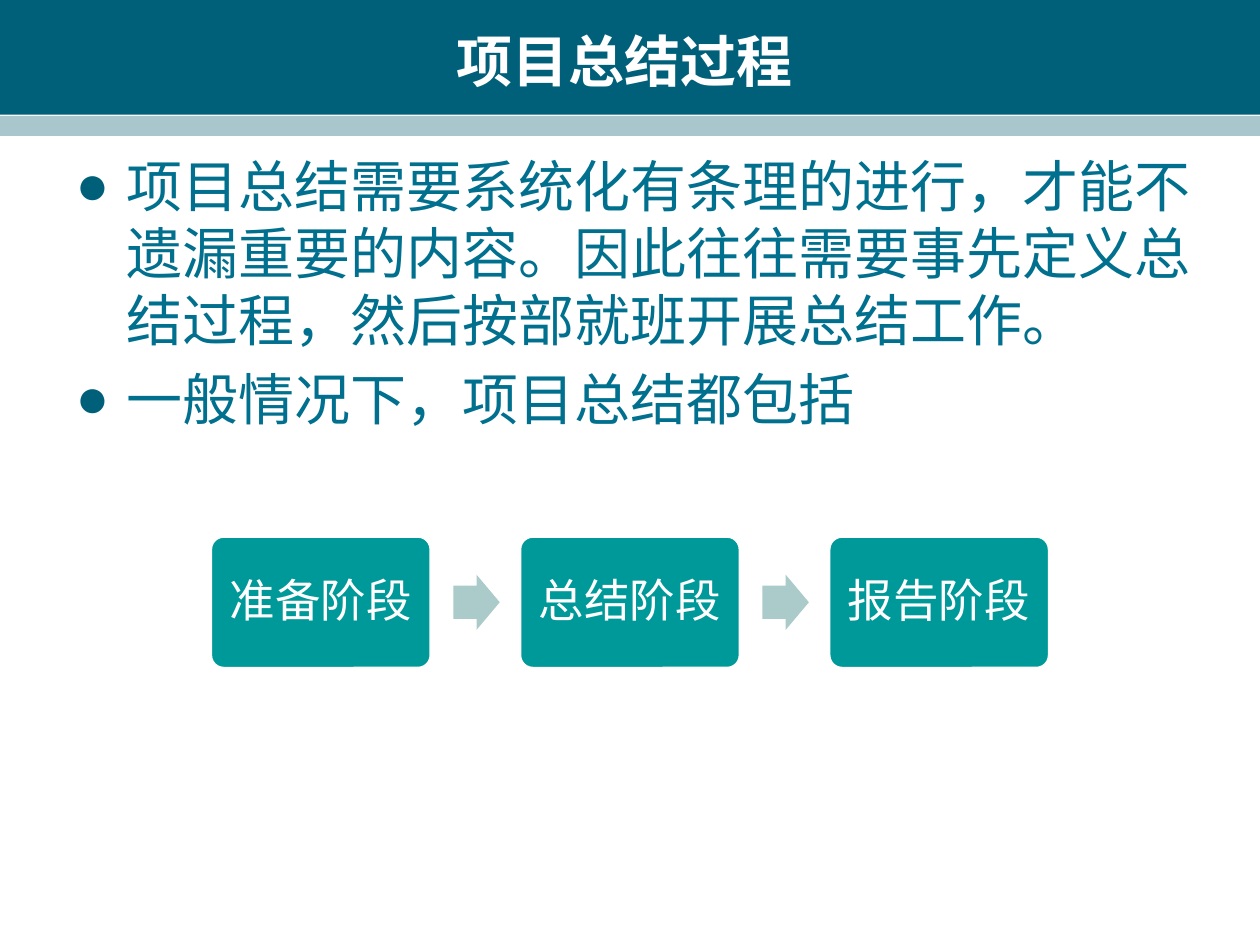
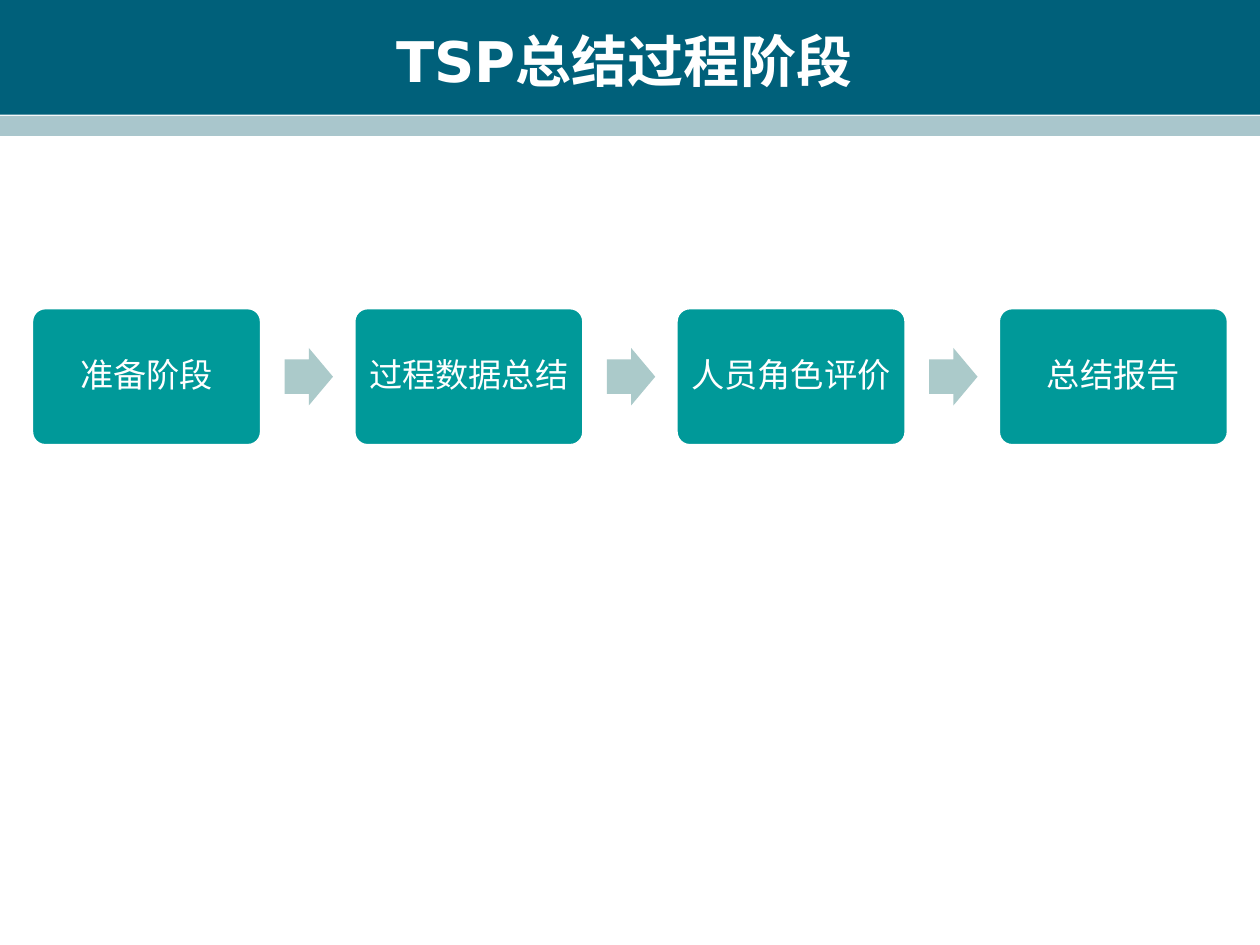
from lxml.etree import SubElement
from pptx import Presentation
from pptx.dml.color import RGBColor
from pptx.enum.shapes import MSO_SHAPE as Preset
from pptx.enum.text import MSO_ANCHOR as Anchor, MSO_AUTO_SIZE as AutoSize, PP_ALIGN as Align
from pptx.oxml.ns import qn
from pptx.util import Inches, Pt

SLIDE_WIDTH, SLIDE_HEIGHT = Inches(10), Inches(7.5)
CELL = SLIDE_WIDTH / 100

DARK_TEAL, PALE_TEAL, BODY_TEAL = "00607A", "A9C6CC", "00708E"
STEP_GREEN, ARROW_GREEN, WHITE = "009999", "ABCACA", "FFFFFF"

BANDS = [((0, 0, 100, 9.1), DARK_TEAL), ((0, 9.2, 100, 1.6), PALE_TEAL)]
TITLE_BOX = (3.3, 1.7, 92.5, 6.2)
BODY_BOX = (5, 11.5, 93.3, 32.7)

TITLE_FONT = {"name": "DejaVu Sans", "size": Pt(32), "bold": True}
BODY_FONT = {"name": "Arial", "size": Pt(32)}
BULLET_GAP = Pt(6.4)

STEP_GAP = 0.4
STEP_HEIGHT = 0.6
ARROW_OFFSET, ARROW_WIDTH, ARROW_HEIGHT = 0.1, 0.21, 0.25


def color(value):
    return RGBColor.from_string(value)


def assign(target, values):
    for name, value in values.items():
        setattr(target, name, value)


def grid(box):
    return [round(length * CELL) for length in box]


def move(shape, box):
    assign(shape, dict(zip(("left", "top", "width", "height"), grid(box))))


def write(paragraph, text, font, text_color):
    run = paragraph.add_run()
    run.text = text
    assign(run.font, font)
    run.font.color.rgb = color(text_color)


def add_filled(shapes, preset, box, fill, adjustments=()):
    shape = shapes.add_shape(preset, *grid(box))
    shape.shadow.inherit = False
    shape.fill.solid()
    shape.fill.fore_color.rgb = color(fill)
    shape.line.fill.background()
    for index, value in enumerate(adjustments):
        shape.adjustments[index] = value
    return shape


def add_title(slide, text):
    title = slide.shapes.title
    move(title, TITLE_BOX)
    assign(title.text_frame, {"vertical_anchor": Anchor.MIDDLE, "auto_size": AutoSize.NONE})
    paragraph = title.text_frame.paragraphs[0]
    paragraph.alignment = Align.CENTER
    write(paragraph, text, TITLE_FONT, WHITE)


def set_bullet(paragraph):
    properties = paragraph._p.get_or_add_pPr()
    indent = Inches(0.4)
    properties.set("marL", str(indent))
    properties.set("indent", str(-indent))
    bullet_color = SubElement(properties, qn("a:buClr"))
    SubElement(bullet_color, qn("a:srgbClr"), val=DARK_TEAL)
    SubElement(properties, qn("a:buFont"), typeface="Arial")
    SubElement(properties, qn("a:buChar"), char="●")


def add_bullets(slide, box, items):
    body = slide.placeholders[1]
    move(body, box)
    frame = body.text_frame
    frame.auto_size = AutoSize.NONE
    for index, item in enumerate(items):
        paragraph = frame.add_paragraph() if index else frame.paragraphs[0]
        set_bullet(paragraph)
        paragraph.space_before = BULLET_GAP if index else Pt(0)
        write(paragraph, item, BODY_FONT, BODY_TEAL)


def add_step(shapes, box, text, size):
    step = add_filled(shapes, Preset.ROUNDED_RECTANGLE, box, STEP_GREEN, [0.1])
    step.line.color.rgb = color(WHITE)
    step.line.width = Pt(2)
    assign(step.text_frame, {"vertical_anchor": Anchor.MIDDLE, "word_wrap": False})
    paragraph = step.text_frame.paragraphs[0]
    assign(paragraph, {"alignment": Align.CENTER, "line_spacing": 0.9})
    write(paragraph, text, {"name": "Arial", "size": Pt(size)}, WHITE)


def add_process(slide, left, middle, width, steps, size):
    shapes = slide.shapes.add_group_shape().shapes
    step_width = width / (len(steps) + STEP_GAP * (len(steps) - 1))
    step_height = step_width * STEP_HEIGHT
    arrow_width, arrow_height = step_width * ARROW_WIDTH, step_width * ARROW_HEIGHT
    for index, text in enumerate(steps):
        step_left = left + index * step_width * (1 + STEP_GAP)
        if index:
            arrow_left = step_left + step_width * (ARROW_OFFSET - STEP_GAP)
            arrow_box = (arrow_left, middle - arrow_height / 2, arrow_width, arrow_height)
            add_filled(shapes, Preset.RIGHT_ARROW, arrow_box, ARROW_GREEN, [0.6, 0.5])
        step_box = (step_left, middle - step_height / 2, step_width, step_height)
        add_step(shapes, step_box, text, size)


def move_bands_to_master(presentation, slide):
    bands = [add_filled(slide.shapes, Preset.RECTANGLE, box, fill) for box, fill in BANDS]
    for position, band in enumerate(bands, 2):
        presentation.slide_master.shapes.element.insert(position, band.element)


def add_overview_slide(presentation):
    slide = presentation.slides.add_slide(presentation.slide_layouts[1])
    add_title(slide, "项目总结过程")
    add_bullets(slide, BODY_BOX, [
        "项目总结需要系统化有条理的进行，才能不遗漏重要的内容。因此往往需要事先定义总结过程，然后按部就班开展总结工作。",
        "一般情况下，项目总结都包括",
    ])
    add_process(slide, 16.7, 47.8, 66.6, ["准备阶段", "总结阶段", "报告阶段"], 26)


def add_stages_slide(presentation):
    slide = presentation.slides.add_slide(presentation.slide_layouts[5])
    add_title(slide, "TSP总结过程阶段")
    add_process(slide, 2.5, 29.9, 95, ["准备阶段", "过程数据总结", "人员角色评价", "总结报告"], 19)
    return slide


def main():
    presentation = Presentation()
    assign(presentation, {"slide_width": SLIDE_WIDTH, "slide_height": SLIDE_HEIGHT})
    add_overview_slide(presentation)
    stages_slide = add_stages_slide(presentation)
    move_bands_to_master(presentation, stages_slide)
    presentation.save("out.pptx")


if __name__ == "__main__":
    main()
